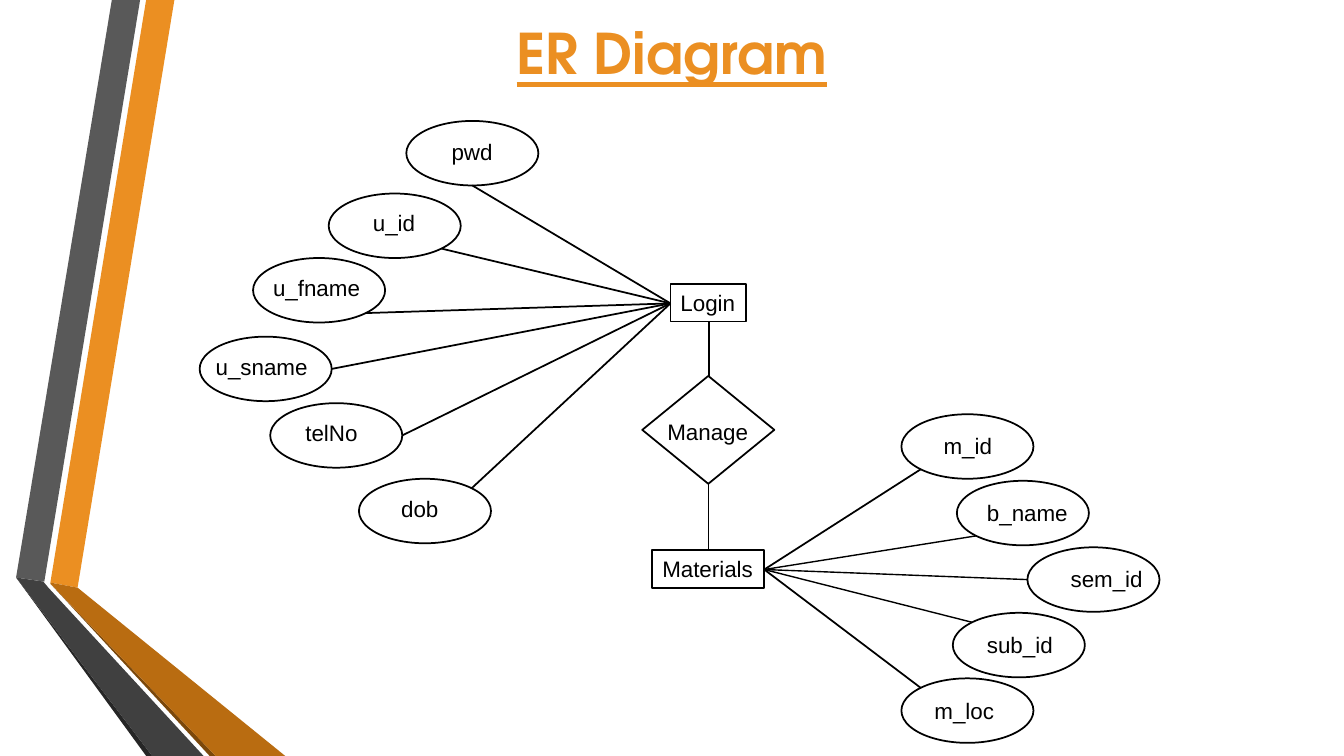
from math import cos, radians, sin

from lxml.etree import SubElement
from pptx import Presentation
from pptx.dml.color import RGBColor
from pptx.enum.shapes import MSO_CONNECTOR, MSO_SHAPE
from pptx.enum.text import MSO_AUTO_SIZE, PP_ALIGN
from pptx.oxml.ns import qn
from pptx.util import Inches, Pt

BLACK, ORANGE = "000000", "EB8F22"
OVAL_WIDTH, OVAL_HEIGHT = 1.31, 0.64
LABEL_HEIGHT = 0.37
LABEL_FORMAT = {"size": Pt(16), "name": "Arial"}
TITLE_FORMAT = {"size": Pt(40), "name": "TeX Gyre Adventor", "bold": True, "underline": True}

# Side ribbons: colour, corner points
RIBBONS = [
    (ORANGE, [(0.5, 5.78), (0.77, 5.83), (1.73, 0), (1.45, 0)]),
    ("595959", [(1.39, 0), (1.11, 0), (0.16, 5.73), (0.44, 5.77)]),
    ("262626", [(0.16, 5.73), (1.45, 7.5), (1.51, 7.5)]),
    ("7B480B", [(0.5, 5.79), (2.08, 7.5), (2.14, 7.5)]),
    ("B96C11", [(0.5, 5.79), (2.14, 7.5), (2.83, 7.5), (0.77, 5.83), (0.5, 5.78)]),
    ("404040", [(2.02, 7.5), (0.48, 5.83), (0.43, 5.77), (0.16, 5.73), (1.51, 7.5)]),
]

# Attributes: name, oval left and top, label left, top and width,
# angle on the oval where the line ends (clockwise from the right), line width
LOGIN_ATTRIBUTES = [
    ("pwd", 4.03, 1.2, 4.38, 1.32, 0.61, 90, 1.25),
    ("u_id", 3.26, 1.92, 3.6, 2.03, 0.62, 45, 1.25),
    ("u_fname", 2.51, 2.56, 2.61, 2.67, 1.07, 45, 1.25),
    ("u_sname", 1.98, 3.34, 2.04, 3.45, 1.12, 0, 1.25),
    ("telNo", 2.68, 4, 2.93, 4.11, 0.72, 0, 1.25),
    ("dob", 3.56, 4.75, 3.88, 4.86, 0.58, -45, 1.25),
]
MATERIALS_ATTRIBUTES = [
    ("m_id", 8.94, 4.11, 9.26, 4.24, 0.69, 135, 1.25),
    ("b_name", 9.49, 4.77, 9.69, 4.9, 1.01, 135, 1),
    ("sem_id", 10.19, 5.43, 10.52, 5.56, 0.92, 180, 1),
    ("sub_id", 9.45, 6.08, 9.69, 6.21, 0.86, 225, 1),
    ("m_loc", 8.94, 6.73, 9.17, 6.87, 0.8, 225, 1.25),
]


def color(hex_string):
    """Turn a hex string into a colour."""
    return RGBColor.from_string(hex_string)


def write(shape, text, font_format, hex_string, alignment=PP_ALIGN.LEFT, wrap=False):
    """Put one formatted paragraph into a shape."""
    frame = shape.text_frame
    frame.word_wrap = wrap
    frame.auto_size = MSO_AUTO_SIZE.SHAPE_TO_FIT_TEXT
    paragraph = frame.paragraphs[0]
    paragraph.alignment = alignment
    run = paragraph.add_run()
    run.text = text
    for attribute, value in font_format.items():
        setattr(run.font, attribute, value)
    run.font.color.rgb = color(hex_string)


def add_label(slide, text, left, top, width):
    """Add a one-line text box."""
    box = slide.shapes.add_textbox(*map(Inches, (left, top, width, LABEL_HEIGHT)))
    write(box, text, LABEL_FORMAT, BLACK)


def add_outline(slide, kind, left, top, width, height, line_width=1.25):
    """Add an unfilled preset shape with a black border."""
    shape = slide.shapes.add_shape(kind, *map(Inches, (left, top, width, height)))
    shape.shadow.inherit = False
    shape.fill.background()
    shape.line.color.rgb = color(BLACK)
    shape.line.width = Pt(line_width)
    return shape


def add_line(slide, start, end, line_width=1.25):
    """Join two points with a straight black line."""
    connector = slide.shapes.add_connector(MSO_CONNECTOR.STRAIGHT, *map(Inches, start + end))
    connector.line.color.rgb = color(BLACK)
    connector.line.width = Pt(line_width)
    SubElement(connector._element.spPr, qn("a:effectLst"))


def add_ribbon(slide, hex_string, points):
    """Add a filled polygon without a border."""
    corners = [(Inches(x), Inches(y)) for x, y in points]
    builder = slide.shapes.build_freeform(*corners[0], scale=1.0)
    builder.add_line_segments(corners[1:], close=True)
    shape = builder.convert_to_shape()
    shape.shadow.inherit = False
    shape.fill.solid()
    shape.fill.fore_color.rgb = color(hex_string)
    shape.line.fill.background()


def add_entity(slide, name, left, top, width, line_width):
    """Add an entity box with its name inside."""
    box = add_outline(slide, MSO_SHAPE.RECTANGLE, left, top, width, LABEL_HEIGHT, line_width)
    write(box, name, LABEL_FORMAT, BLACK)


def add_attributes(slide, anchor, attributes):
    """Add attribute ovals and tie each one to its entity's anchor point."""
    for name, left, top, label_left, label_top, label_width, angle, line_width in attributes:
        add_outline(slide, MSO_SHAPE.OVAL, left, top, OVAL_WIDTH, OVAL_HEIGHT)
        add_label(slide, name, label_left, label_top, label_width)
        end = (left + OVAL_WIDTH / 2 * (1 + cos(radians(angle))),
               top + OVAL_HEIGHT / 2 * (1 + sin(radians(angle))))
        add_line(slide, anchor, end, line_width)


def add_title(slide, text):
    """Add the centred slide title."""
    box = slide.shapes.add_textbox(*map(Inches, (0, 0.13, 13.33, 0.77)))
    write(box, text, TITLE_FORMAT, ORANGE, PP_ALIGN.CENTER, wrap=True)


def main():
    """Build the entity-relationship slide."""
    presentation = Presentation()
    presentation.slide_width, presentation.slide_height = Inches(13.33), Inches(7.5)
    slide = presentation.slides.add_slide(presentation.slide_layouts[6])

    for hex_string, points in RIBBONS:
        add_ribbon(slide, hex_string, points)
    add_title(slide, "ER Diagram")

    add_entity(slide, "Login", 6.65, 2.82, 0.75, 1.25)
    add_entity(slide, "Materials", 6.47, 5.46, 1.11, 1.5)
    add_outline(slide, MSO_SHAPE.FLOWCHART_DECISION, 6.37, 3.73, OVAL_WIDTH, 1.07)
    add_label(slide, "Manage", 6.52, 4.1, 1.01)
    add_line(slide, (7.03, 3.19), (7.03, 3.73))
    add_line(slide, (7.03, 4.8), (7.03, 5.46), 1)

    add_attributes(slide, (6.65, 3.01), LOGIN_ATTRIBUTES)
    add_attributes(slide, (7.58, 5.65), MATERIALS_ATTRIBUTES)
    presentation.save("out.pptx")


main()
